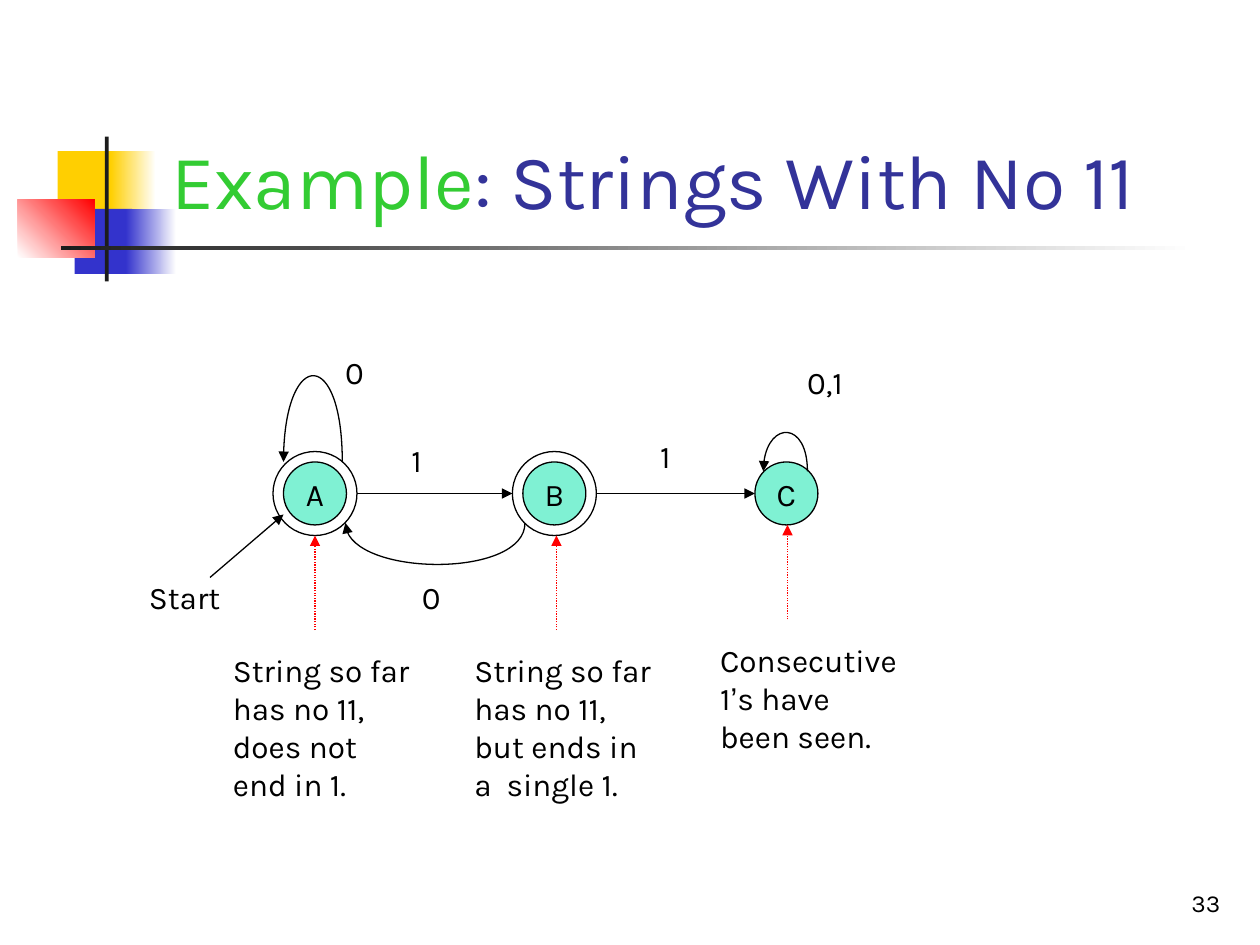
import itertools
import pptx
import pptx.util
import pptx.dml.color
import pptx.enum.dml
import pptx.enum.shapes
import pptx.enum.text
import pptx.oxml.ns
import pptx.oxml.xmlchemy
import lxml.etree

RGB = pptx.dml.color.RGBColor
SHAPE = pptx.enum.shapes.MSO_SHAPE
ALIGN = pptx.enum.text.PP_ALIGN
ANCHOR = pptx.enum.text.MSO_ANCHOR
qn = pptx.oxml.ns.qn

BLACK = RGB(0x00, 0x00, 0x00)
WHITE = RGB(0xFF, 0xFF, 0xFF)
GOLD = RGB(0xFF, 0xCF, 0x01)
BLUE = RGB(0x33, 0x33, 0xCC)
RED = RGB(0xFF, 0x00, 0x00)
DARK = RGB(0x1C, 0x1C, 0x1C)
GREEN = RGB(0x33, 0xCC, 0x33)
NAVY = RGB(0x33, 0x33, 0x99)
MINT = RGB(0x00, 0xE4, 0xA8)

WIDE, HIGH = pptx.util.Inches(10), pptx.util.Inches(7.5)
COLS, ROWS = 120, 90


def spot(box, x, y):
    """Turn a grid place inside a box into slide lengths."""
    return int((box[0] + x) * WIDE / COLS), int((box[1] + y) * HIGH / ROWS)


def area(box, x, y, w, h):
    """Turn a grid area inside a box into left, top, width and height."""
    return spot(box, x, y) + spot((0, 0), w, h)


def style(item, form):
    """Set each format value on an item."""
    for key, val in form.items():
        setattr(item, key, val)


def add_run(para, text, size, color):
    """Add text to a paragraph, with apostrophes in Arial."""
    for mark, part in itertools.groupby(text, lambda c: c == "’"):
        run = para.add_run()
        run.text = "".join(part)
        style(run.font, {"size": pptx.util.Pt(size), "name": "Arial" if mark else "Karla"})
        run.font.color.rgb = color


def write(frame, lines, size=18, align=ALIGN.LEFT, **form):
    """Fill a text frame with one paragraph a line."""
    style(frame, {"word_wrap": True, **form})
    for num, text in enumerate(lines):
        para = frame.add_paragraph() if num else frame.paragraphs[0]
        para.alignment = align
        add_run(para, text, size, BLACK)


def label(sl, box, x, y, w, h, lines, **form):
    """Add a text box."""
    write(sl.shapes.add_textbox(*area(box, x, y, w, h)).text_frame, lines, **form)


def stroke(line, color=BLACK, dash=None, head=False):
    """Give a line its colour, dash and arrowhead."""
    line.color.rgb = color
    style(line, {"width": pptx.util.Pt(0.75), "dash_style": dash})
    if head:
        lxml.etree.SubElement(line._get_or_add_ln(), qn("a:tailEnd"), type="triangle")


def arrow(sl, box, start, end, **form):
    """Draw a straight arrow."""
    kind = pptx.enum.shapes.MSO_CONNECTOR.STRAIGHT
    link = sl.shapes.add_connector(kind, *spot(box, *start), *spot(box, *end))
    stroke(link.line, head=True, **form)
    lxml.etree.SubElement(link._element.spPr, qn("a:effectLst"))


def arc(sl, box, start, end, depth):
    """Draw a curved arrow that swings the given depth away from its ends."""
    bend = depth / 0.75
    ctrl = [(x, y + bend) for x, y in (start, end)]
    build = sl.shapes.build_freeform(*spot(box, *start))
    build.add_line_segments([spot(box, *p) for p in ctrl + [end]], close=False)
    shape = build.convert_to_shape()
    steps = list(shape._element.iter(qn("a:lnTo")))
    curve = lxml.etree.SubElement(steps[0].getparent(), qn("a:cubicBezTo"))
    for step in steps:
        curve.append(step[0])
        step.getparent().remove(step)
    shape.fill.background()
    shape.shadow.inherit = False
    stroke(shape.line, head=True)


def disc(sl, box, mid, rad, name=None):
    """Draw a state disc when named, or else an open ring."""
    x, y = mid
    shape = sl.shapes.add_shape(SHAPE.OVAL, *area(box, x - rad, y - rad, 2 * rad, 2 * rad))
    shape.shadow.inherit = False
    stroke(shape.line)
    if not name:
        shape.fill.background()
        return
    shape.fill.solid()
    shape.fill.fore_color.rgb = MINT
    tint = next(shape._element.spPr.iter(qn("a:srgbClr")))
    lxml.etree.SubElement(tint, qn("a:alpha"), val="50000")
    sides = dict.fromkeys(("margin_left", "margin_right", "margin_top", "margin_bottom"), 0)
    write(shape.text_frame, [name], align=ALIGN.CENTER, vertical_anchor=ANCHOR.MIDDLE, **sides)


def motif(sl, box):
    """Draw the coloured blocks and the crossed bars."""
    for x, y, w, h, first, last, turn in (
        (3.8, 1.4, 5.8, 6.2, GOLD, None, 0),
        (8.85, 1.4, 4.3, 6.2, GOLD, WHITE, 0),
        (5.4, 6.9, 5.5, 6.2, BLUE, None, 0),
        (10.3, 6.9, 4.8, 6.2, BLUE, WHITE, 0),
        (0, 6, 7.3, 5.5, WHITE, RED, 45),
        (8.3, 0, 0.36, 13.8, DARK, None, 0),
        (4.1, 10.4, 108, 0.4, DARK, WHITE, 0),
    ):
        shape = sl.shapes.add_shape(SHAPE.RECTANGLE, *area(box, x, y, w, h))
        shape.shadow.inherit = False
        shape.line.fill.background()
        if last is None:
            shape.fill.solid()
            shape.fill.fore_color.rgb = first
            continue
        shape.fill.gradient()
        shape.fill.gradient_angle = turn
        for stop, color in zip(shape.fill.gradient_stops, (first, last)):
            stop.color.rgb = color


def head(sl, box):
    """Place the two-colour title."""
    title = sl.shapes.title
    style(title, dict(zip(("left", "top", "width", "height"), area(box, 0, 0, 102.2, 19.2))))
    style(title.text_frame, {"vertical_anchor": ANCHOR.BOTTOM, "word_wrap": True})
    para = title.text_frame.paragraphs[0]
    para.alignment = ALIGN.LEFT
    add_run(para, "Example", 44, GREEN)
    add_run(para, ": Strings With No 11", 44, NAVY)


def graph(sl, box):
    """Draw the states, their arrows and the arrow labels."""
    mids = {"A": 17, "B": 39.8, "C": 61.9}
    mid, rad, ring = 14, 3, 4
    for name, x in mids.items():
        disc(sl, box, (x, mid), rad, name)
        if name != "C":
            disc(sl, box, (x, mid), ring)
    arrow(sl, box, (7, 22), (14, 16))
    arrow(sl, box, (mids["A"] + ring, mid), (mids["B"] - ring, mid))
    arrow(sl, box, (mids["B"] + ring, mid), (mids["C"] - rad, mid))
    arc(sl, box, (19.6, 11), (14, 11), -8.1)
    arc(sl, box, (37, 16.8), (19.9, 16.8), 3.85)
    arc(sl, box, (63.9, 11.9), (59.7, 11.9), -3.6)
    for x, y, w, text in (
        (0, 21.5, 10.8, "Start"),
        (25, 8.4, 4.6, "1"),
        (26, 21.5, 4.6, "0"),
        (48.7, 8, 4.6, "1"),
        (18.7, 0, 4.6, "0"),
        (62.7, 1, 8, "0,1"),
    ):
        label(sl, box, x, y, w, 6, [text])


def note(sl, box, shift, lines):
    """Explain a state below a dotted red arrow."""
    dots = pptx.enum.dml.MSO_LINE.ROUND_DOT
    arrow(sl, box, (0, 9), (0, 0), color=RED, dash=dots)
    label(sl, box, shift, 10.45, 24, 5 * len(lines), lines)


def main():
    """Build and save the slide."""
    prs = pptx.Presentation()
    style(prs, {"slide_width": WIDE, "slide_height": HIGH})
    sl = prs.slides.add_slide(prs.slide_layouts[5])
    motif(sl, (1.7, 13))
    head(sl, (15.1, 2.8))
    graph(sl, (13, 33))
    note(sl, (30, 51), -9, ["String so far", "has no 11,", "does not", "end in 1."])
    note(sl, (53, 51), -9, ["String so far", "has no 11,", "but ends in", "a  single 1."])
    note(sl, (75, 50), -7.6, ["Consecutive", "1’s have", "been seen."])
    label(sl, (92.4, 82), 0, 0, 25, 6, ["33"], size=14, align=ALIGN.RIGHT,
          vertical_anchor=ANCHOR.BOTTOM)
    prs.save("out.pptx")


if __name__ == "__main__":
    main()
